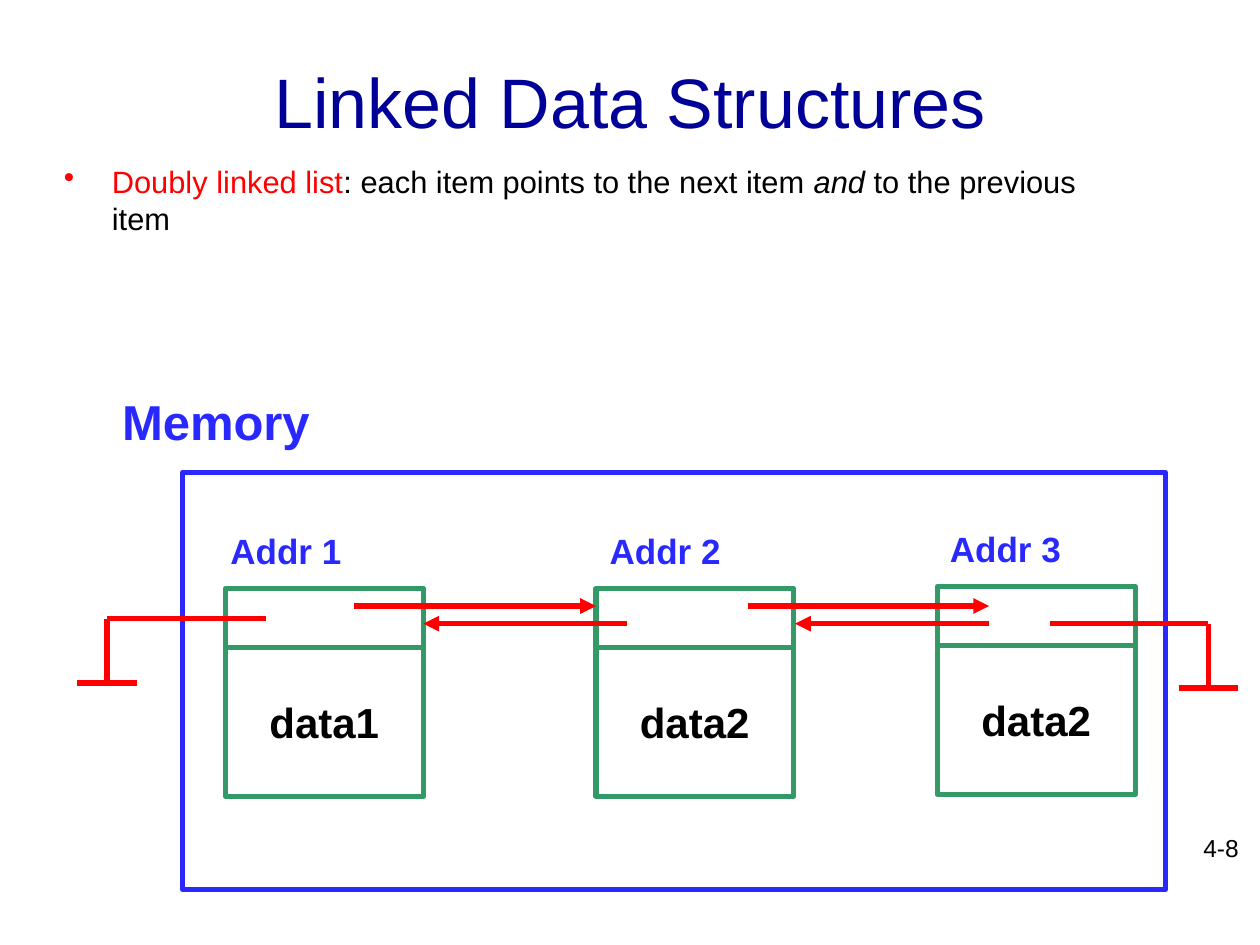
from lxml import etree
from pptx import Presentation
from pptx.dml.color import RGBColor
from pptx.enum.shapes import MSO_CONNECTOR, MSO_SHAPE
from pptx.enum.text import MSO_ANCHOR, PP_ALIGN
from pptx.oxml.ns import qn
from pptx.util import Inches, Pt

LINE, RECT = MSO_CONNECTOR.STRAIGHT, MSO_SHAPE.RECTANGLE
LEFT, CENTER, RIGHT = PP_ALIGN.LEFT, PP_ALIGN.CENTER, PP_ALIGN.RIGHT
TOP, MIDDLE = MSO_ANCHOR.TOP, MSO_ANCHOR.MIDDLE
NAVY, BLUE, GREEN, RED, BLACK = "000099", "2929FF", "339966", "FF0000", "000000"
NODE_W, NODE_H, LINK_H = 1.57, 1.65, 0.47


def color(value):
    return RGBColor.from_string(value)


def add_text(shapes, box, text, size, fill, bold=False, align=LEFT,
             anchor=TOP, wrap=False):
    tf = shapes.add_textbox(*map(Inches, box)).text_frame
    tf.word_wrap = wrap
    tf.vertical_anchor = anchor
    p = tf.paragraphs[0]
    p.text = text
    p.alignment = align
    p.font.name, p.font.size, p.font.bold = "Arial", Pt(size), bold
    p.font.color.rgb = color(fill)
    return p


def add_frame(shapes, box, stroke):
    shape = shapes.add_shape(RECT, *map(Inches, box))
    shape.shadow.inherit = False
    shape.fill.background()
    shape.line.color.rgb = color(stroke)
    shape.line.width = Pt(3)


def add_line(shapes, x1, y1, x2, y2, stroke, arrow=False):
    line = shapes.add_connector(LINE, *map(Inches, (x1, y1, x2, y2)))
    line.line.color.rgb = color(stroke)
    line.line.width = Pt(3)
    if arrow:
        etree.SubElement(line.line._get_or_add_ln(), qn("a:tailEnd"), type="triangle")
    etree.SubElement(line._element.spPr, qn("a:effectLst"))


def add_definition(shapes, box):
    p = add_text(shapes, box, "", 17.6, BLACK, wrap=True)
    pPr = p._p.get_or_add_pPr()
    pPr.set("marL", str(Inches(0.38)))
    pPr.set("indent", str(-Inches(0.38)))
    bullet_color = etree.Element(qn("a:buClr"))
    etree.SubElement(bullet_color, qn("a:srgbClr"), val=RED)
    bullet = etree.Element(qn("a:buChar"), char="•")
    pPr.insert(0, bullet_color)
    pPr.insert(1, bullet)
    for text, fill, italic in (
            ("Doubly linked list", RED, False),
            (": each item points to the next item ", BLACK, False),
            ("and", BLACK, True),
            (" to the previous item", BLACK, False)):
        r = p.add_run()
        r.text = text
        r.font.color.rgb = color(fill)
        r.font.italic = italic


def add_node(shapes, x, y, data, address, label_dx):
    """List item: link field above a data field, with its address on top."""
    add_frame(shapes, (x, y, NODE_W, NODE_H), GREEN)
    add_line(shapes, x, y + LINK_H, x + NODE_W, y + LINK_H, GREEN)
    add_text(shapes, (x + 0.25, y + 0.81, 1.07, 0.5), data, 24, BLACK, bold=True)
    add_text(shapes, (x + label_dx, y - 0.52, 1.08, 0.44), address, 20, BLUE, bold=True)


def add_null_link(shapes, x, y, end_x):
    """Link that leaves the list and ends in a ground symbol."""
    group = shapes.add_group_shape().shapes
    foot = y + 0.51
    add_line(group, x, y, end_x, y, RED)
    add_line(group, end_x, y, end_x, foot, RED)
    add_line(group, end_x - 0.235, foot, end_x + 0.235, foot, RED)


def add_memory(shapes, x, y):
    add_frame(shapes, (x, y, 7.8, 3.31), BLUE)
    add_text(shapes, (x - 0.58, y - 0.69, 1.69, 0.57), "Memory", 28, BLUE, bold=True)

    # List items
    for dx, dy, data, address, label_dx in (
            (0.34, 0.92, "data1", "Addr 1", -0.06),
            (3.28, 0.92, "data2", "Addr 2", 0.01),
            (5.99, 0.905, "data2", "Addr 3", 0)):
        add_node(shapes, x + dx, y + dy, data, address, label_dx)

    # Links to the next item, then to the previous one
    next_y, previous_y = y + 1.06, y + 1.2
    for start, end, link_y in (
            (1.36, 3.28, next_y), (4.49, 6.4, next_y),
            (6.4, 4.86, previous_y), (3.53, 1.91, previous_y)):
        add_line(shapes, x + start, link_y, x + end, link_y, RED, arrow=True)

    # Both ends of the list
    add_null_link(shapes, x + 6.88, previous_y, x + 8.14)
    add_null_link(shapes, x + 0.66, y + 1.16, x - 0.6)


def main():
    prs = Presentation()
    prs.slide_width, prs.slide_height = Inches(10), Inches(7.5)
    s = prs.slides.add_slide(prs.slide_layouts[6])
    add_text(s.shapes, (0.75, 0.17, 8.5, 1.25), "Linked Data Structures", 40, NAVY,
             align=CENTER, anchor=MIDDLE, wrap=True)
    add_definition(s.shapes, (0.41, 1.24, 8.5, 1.23))
    add_memory(s.shapes, 1.45, 3.75)
    add_text(s.shapes, (7.85, 6.56, 2.08, 0.5), "4-8", 14, BLACK,
             align=RIGHT, wrap=True)
    prs.save("out.pptx")


if __name__ == "__main__":
    main()
